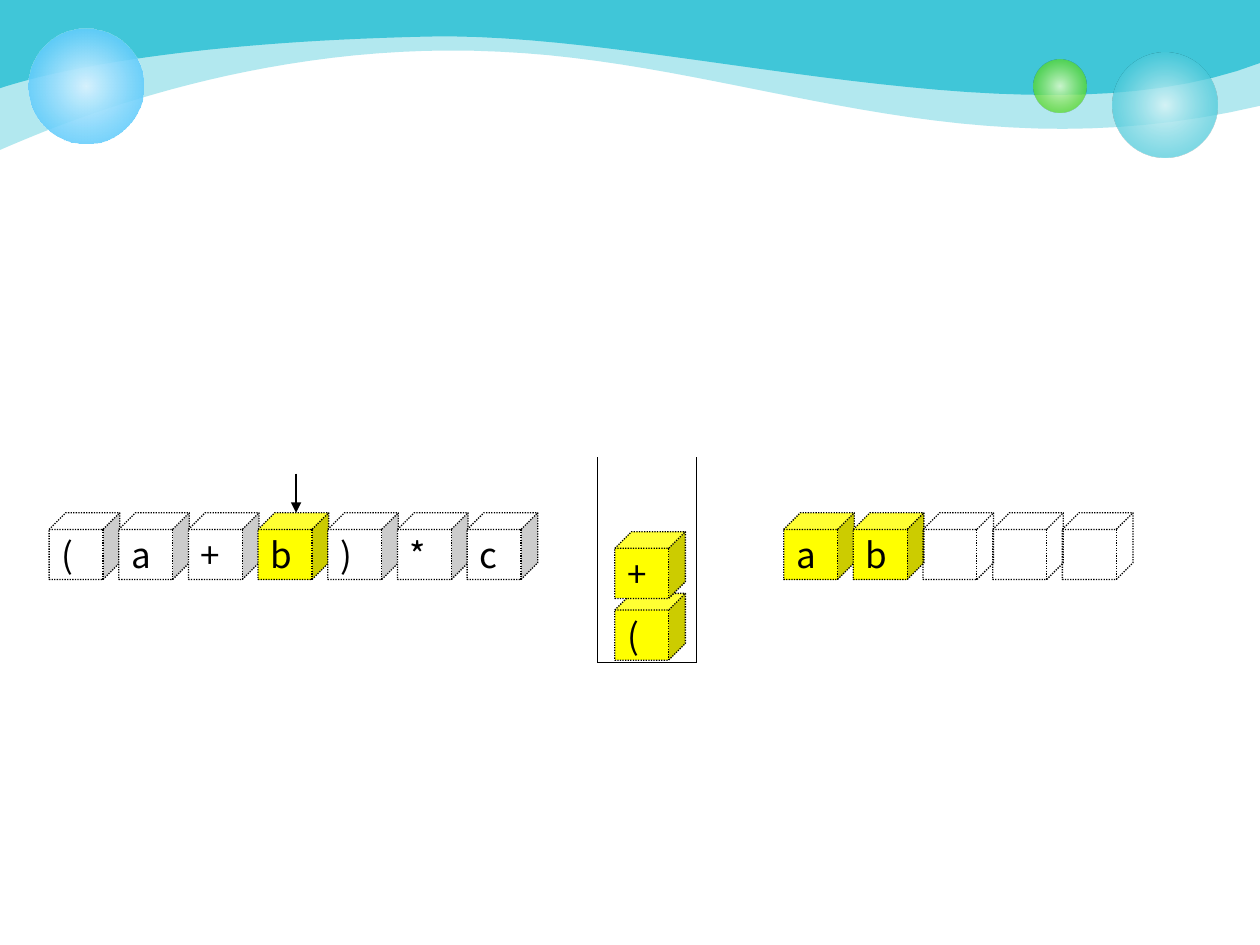
import lxml.etree
import pptx
import pptx.dml.color
import pptx.enum.dml
import pptx.enum.shapes
import pptx.enum.text
import pptx.oxml
import pptx.oxml.ns
import pptx.util

Inches = pptx.util.Inches
FONT = "Noto Sans CJK KR"
BLACK, WHITE, YELLOW, TEAL = "000000", "FFFFFF", "FFFF00", "40C6D8"
CUBE_WIDTH, CUBE_HEIGHT, CUBE_PITCH = 0.56, 0.53, 0.553
ROW_TOP = 4.07
STACK_LEFT, STACK_RIGHT, STACK_TOP, STACK_BOTTOM = 4.74, 5.53, 3.63, 5.26

BACK_WAVE = [
    [(0, 1.19), (0.33, 1.05), (1.97, 0.31), (3.96, 0.41)],
    [(3.96, 0.41), (5.95, 0.5), (7.62, 1.4), (10, 0.84)],
]
FRONT_WAVE = [
    [(0, 0.7), (0.45, 0.55), (1.53, 0.33), (3.41, 0.29)],
    [(3.41, 0.29), (5.29, 0.25), (8.2, 1.19), (10, 0.5)],
]
BUBBLES = [
    (8.83, 0.42, 0.83, [(0, "D9F4F7", 90), (76, TEAL, 70)]),
    (8.2, 0.47, 0.42, [(0, "DAFACD", 90), (76, "4CD416", 70)]),
    (0.23, 0.23, 0.91, [(0, "D6F2FE", 100), (100, "33BDFB", 80)]),
]


def color(value):
    """Turn a hex string into an RGB colour."""
    return pptx.dml.color.RGBColor.from_string(value)


def add_element(parent, tag, **attributes):
    """Append a DrawingML element and return it."""
    element = lxml.etree.SubElement(parent, pptx.oxml.ns.qn(tag))
    for name, value in attributes.items():
        element.set(name, str(value))
    return element


def curve_points(curve, steps=30):
    """Return the points along a cubic curve, after its start."""
    points = []
    for step in range(1, steps + 1):
        t = step / steps
        weights = ((1 - t) ** 3, 3 * t * (1 - t) ** 2, 3 * t * t * (1 - t), t ** 3)
        points.append(tuple(
            Inches(sum(weight * point[axis] for weight, point in zip(weights, curve)))
            for axis in (0, 1)
        ))
    return points


def add_wave(slide, curves, opacity):
    """Fill the band between the top edge and a curved lower edge."""
    builder = slide.shapes.build_freeform(0, 0, scale=1.0)
    points = [(0, Inches(curves[0][0][1]))]
    for curve in curves:
        points += curve_points(curve)
    builder.add_line_segments(points + [(Inches(10), 0)], close=True)
    shape = builder.convert_to_shape()
    shape.shadow.inherit = False
    shape.line.fill.background()
    shape.fill.solid()
    shape.fill.fore_color.rgb = color(TEAL)
    if opacity < 100:
        fill_color = shape.fill._xPr.find(".//" + pptx.oxml.ns.qn("a:srgbClr"))
        add_element(fill_color, "a:alpha", val=opacity * 1000)


def add_bubble(slide, left, top, size, stops):
    """Add a circle with a translucent radial gradient."""
    shape = slide.shapes.add_shape(
        pptx.enum.shapes.MSO_SHAPE.OVAL,
        Inches(left), Inches(top), Inches(size), Inches(size),
    )
    shape.shadow.inherit = False
    shape.line.fill.background()
    shape.fill.gradient()
    gradient = shape._element.spPr.find(pptx.oxml.ns.qn("a:gradFill"))
    for child in list(gradient):
        gradient.remove(child)
    stop_list = add_element(gradient, "a:gsLst")
    for position, value, opacity in stops:
        stop = add_element(stop_list, "a:gs", pos=position * 1000)
        stop_color = add_element(stop, "a:srgbClr", val=value)
        add_element(stop_color, "a:alpha", val=opacity * 1000)
    radial = add_element(gradient, "a:path")
    radial.set("path", "circle")
    add_element(radial, "a:fillToRect", l=50000, t=50000, r=50000, b=50000)


def add_cube(slide, left, top, text, fill):
    """Add a dotted cube holding one symbol, or an empty one."""
    shape = slide.shapes.add_shape(
        pptx.enum.shapes.MSO_SHAPE.CUBE,
        Inches(left), Inches(top), Inches(CUBE_WIDTH), Inches(CUBE_HEIGHT),
    )
    shape.shadow.inherit = False
    shape.adjustments[0] = 0.25
    if fill:
        shape.fill.solid()
        shape.fill.fore_color.rgb = color(fill)
    else:
        shape.fill.background()
    shape.line.color.rgb = color(BLACK)
    shape.line.width = pptx.util.Pt(0.75)
    shape.line.dash_style = pptx.enum.dml.MSO_LINE.ROUND_DOT
    if text:
        shape.text_frame.text = text
        shape.text_frame.vertical_anchor = pptx.enum.text.MSO_ANCHOR.MIDDLE
        paragraph = shape.text_frame.paragraphs[0]
        paragraph.alignment = pptx.enum.text.PP_ALIGN.LEFT
        run = paragraph.runs[0]
        run.font.size = pptx.util.Pt(20)
        run.font.name = FONT
        run.font.color.rgb = color(BLACK)
        add_element(run.font._element, "a:ea", typeface=FONT)


def add_cube_row(slide, left, cubes):
    """Lay out cubes from left to right at an equal pitch."""
    for index, (text, fill) in enumerate(cubes):
        add_cube(slide, left + index * CUBE_PITCH, ROW_TOP, text, fill)


def add_line(slide, start, end, arrow=False):
    """Add a thin straight line, with an arrowhead at its end if asked."""
    connector = slide.shapes.add_connector(
        pptx.enum.shapes.MSO_CONNECTOR.STRAIGHT,
        *(Inches(value) for value in start + end),
    )
    connector.line.color.rgb = color(BLACK)
    connector.line.width = pptx.util.Pt(0.75)
    if arrow:
        add_element(connector.line._get_or_add_ln(), "a:tailEnd", type="triangle")
    add_element(connector._element.spPr, "a:effectLst")


def add_stack(slide):
    """Draw the open container and its cubes, from the bottom up."""
    corners = [
        (STACK_LEFT, STACK_TOP), (STACK_LEFT, STACK_BOTTOM),
        (STACK_RIGHT, STACK_BOTTOM), (STACK_RIGHT, STACK_TOP),
    ]
    for start, end in zip(corners, corners[1:]):
        add_line(slide, start, end)
    for index, text in enumerate("(+"):
        add_cube(slide, 4.88, 4.71 - index * 0.49, text, YELLOW)


def main():
    """Build the slide and save it."""
    presentation = pptx.Presentation()
    presentation.slide_width = Inches(10)
    presentation.slide_height = Inches(7.5)
    slide = presentation.slides.add_slide(presentation.slide_layouts[6])
    add_wave(slide, BACK_WAVE, 40)
    add_wave(slide, FRONT_WAVE, 100)
    for bubble in BUBBLES:
        add_bubble(slide, *bubble)
    add_cube_row(slide, 0.39, [(text, YELLOW if text == "b" else WHITE) for text in "(a+b)*c"])
    add_cube_row(slide, 6.22, [("a", YELLOW), ("b", YELLOW)] + [("", None)] * 3)
    add_line(slide, (2.35, 3.76), (2.35, ROW_TOP), arrow=True)
    add_stack(slide)
    presentation.save("out.pptx")


if __name__ == "__main__":
    main()
